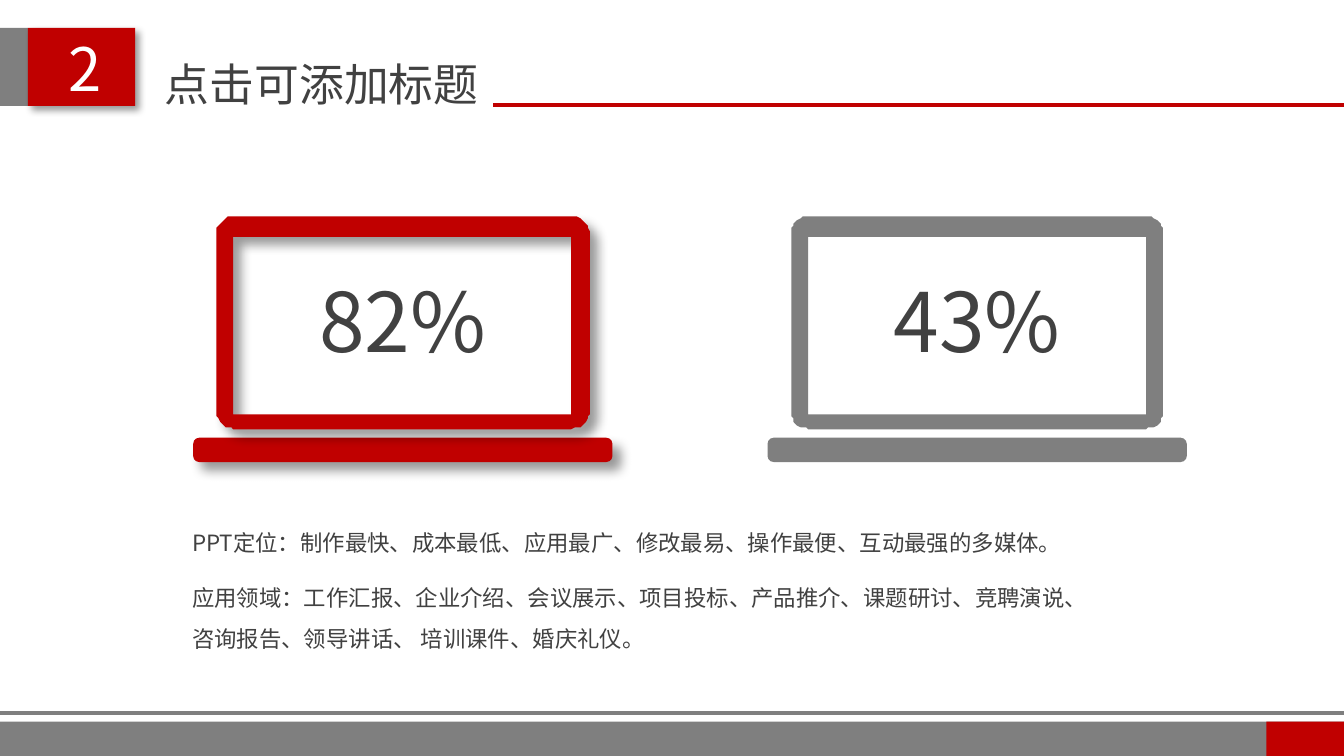
"""Build a slide with two laptop percentages, a numbered title and two notes."""
from math import cos, pi, sin

from lxml.etree import SubElement
from pptx import Presentation
from pptx.dml.color import RGBColor
from pptx.enum.shapes import MSO_CONNECTOR, MSO_SHAPE
from pptx.enum.text import MSO_AUTO_SIZE, PP_ALIGN
from pptx.oxml.ns import qn
from pptx.util import Pt

RED = RGBColor(0xC0, 0x00, 0x00)
GRAY = RGBColor(0x7F, 0x7F, 0x7F)
DARK = RGBColor(0x41, 0x41, 0x41)
WHITE = RGBColor(0xFF, 0xFF, 0xFF)
FONT = "Noto Sans CJK SC"
WIDTH, HEIGHT = 720, 405

SECTION = "2"
TITLE = "点击可添加标题"
LAPTOPS = [
    ("82%", RED, 103.5, (6, 6)),
    ("43%", GRAY, 411.2, None),
]
NOTES = [
    ("PPT定位：制作最快、成本最低、应用最广、修改最易、操作最便、互动最强的多媒体。", 272.9, 498.2, 28.8),
    ("应用领域：工作汇报、企业介绍、会议展示、项目投标、产品推介、课题研讨、竞聘演说、"
     "咨询报告、领导讲话、 培训课件、婚庆礼仪。", 302.4, 486, 51.1),
]
BANDS = [
    (0, 386.6, WIDTH, 18.4, GRAY, None),
    (678.4, 386.6, 41.6, 18.4, RED, None),
    (0, 15, 15, 41.8, GRAY, None),
    (15, 15, 57.4, 41.8, RED, (4, 3)),
]
RULES = [(0, 381.9, GRAY), (264.2, 56.2, RED)]

BASE_TOP, BASE_WIDTH, BASE_HEIGHT = 234.5, 224.6, 13
SCREEN_TOP, SCREEN_WIDTH, SCREEN_HEIGHT = 116, 199.8, 113.6
FRAME_SIDE, FRAME_TOP, FRAME_BOTTOM = 9.4, 11.4, 8
CORNER, ARC_STEPS = 9.4, 10


def paint(shape, color, shadow):
    shape.fill.solid()
    shape.fill.fore_color.rgb = color
    shape.line.fill.background()
    shape.shadow.inherit = False
    if shadow:
        blur, distance = shadow
        effects = shape._element.spPr.find(qn("a:effectLst"))
        outer = SubElement(effects, qn("a:outerShdw"), blurRad=str(Pt(blur)),
                           dist=str(Pt(distance)), dir="2700000", algn="tl", rotWithShape="0")
        black = SubElement(outer, qn("a:srgbClr"), val="000000")
        SubElement(black, qn("a:alpha"), val="40000")


def add_block(shapes, kind, left, top, width, height, color, shadow):
    block = shapes.add_shape(kind, Pt(left), Pt(top), Pt(width), Pt(height))
    paint(block, color, shadow)
    return block


def add_rule(shapes, left, y, color):
    rule = shapes.add_connector(MSO_CONNECTOR.STRAIGHT, Pt(left), Pt(y), Pt(WIDTH), Pt(y))
    rule.line.color.rgb = color
    rule.line.width = Pt(2.25)
    SubElement(rule._element.spPr, qn("a:effectLst"))


def add_text(shapes, words, left, top, width, height, size,
             color=DARK, align=PP_ALIGN.CENTER, wrap=True, spacing=None):
    box = shapes.add_textbox(Pt(left), Pt(top), Pt(width), Pt(height))
    frame = box.text_frame
    frame.word_wrap = wrap
    frame.auto_size = MSO_AUTO_SIZE.SHAPE_TO_FIT_TEXT
    paragraph = frame.paragraphs[0]
    paragraph.alignment = align
    if spacing:
        paragraph.line_spacing = spacing
    run = paragraph.add_run()
    run.text = words
    run.font.size = Pt(size)
    run.font.name = FONT
    run.font.color.rgb = color
    SubElement(run.font._element, qn("a:ea"), typeface=FONT)


def rounded_outline(left, top, width, height):
    right, bottom = left + width - CORNER, top + height - CORNER
    centers = [(right, bottom), (left + CORNER, bottom),
               (left + CORNER, top + CORNER), (right, top + CORNER)]
    return [
        (x + CORNER * cos(angle), y + CORNER * sin(angle))
        for quarter, (x, y) in enumerate(centers)
        for angle in [(quarter + step / ARC_STEPS) * pi / 2 for step in range(ARC_STEPS + 1)]
    ]


def add_screen(shapes, left, color, shadow):
    inner_left, inner_right = left + FRAME_SIDE, left + SCREEN_WIDTH - FRAME_SIDE
    inner_top = SCREEN_TOP + FRAME_TOP
    inner_bottom = SCREEN_TOP + SCREEN_HEIGHT - FRAME_BOTTOM
    outer = rounded_outline(left, SCREEN_TOP, SCREEN_WIDTH, SCREEN_HEIGHT)
    hole = [(inner_left, inner_top), (inner_left, inner_bottom),
            (inner_right, inner_bottom), (inner_right, inner_top)]
    builder = shapes.build_freeform(*outer[0], scale=Pt(1))
    builder.add_line_segments(outer[1:], close=True)
    builder.move_to(*hole[0])
    builder.add_line_segments(hole[1:], close=True)
    paint(builder.convert_to_shape(), color, shadow)


def add_laptop(shapes, percent, color, left, shadow):
    base = add_block(shapes, MSO_SHAPE.ROUNDED_RECTANGLE, left, BASE_TOP,
                     BASE_WIDTH, BASE_HEIGHT, color, shadow)
    base.adjustments[0] = 0.25
    screen_left = left + (BASE_WIDTH - SCREEN_WIDTH) / 2
    add_screen(shapes, screen_left, color, shadow)
    add_text(shapes, percent, screen_left, 141.1, SCREEN_WIDTH, 60.5, 44)


def main():
    deck = Presentation()
    deck.slide_width, deck.slide_height = Pt(WIDTH), Pt(HEIGHT)
    shapes = deck.slides.add_slide(deck.slide_layouts[6]).shapes
    for band in BANDS:
        add_block(shapes, MSO_SHAPE.RECTANGLE, *band)
    for rule in RULES:
        add_rule(shapes, *rule)
    for laptop in LAPTOPS:
        add_laptop(shapes, *laptop)
    for words, top, width, height in NOTES:
        add_text(shapes, words, 95.8, top, width, height, 12, align=PP_ALIGN.LEFT, spacing=1.5)
    add_text(shapes, SECTION, 29.5, 13.7, 29.5, 46.1, 32, color=WHITE, wrap=False)
    add_text(shapes, TITLE, 73.4, 26.6, 198, 36, 24)
    deck.save("out.pptx")


if __name__ == "__main__":
    main()
